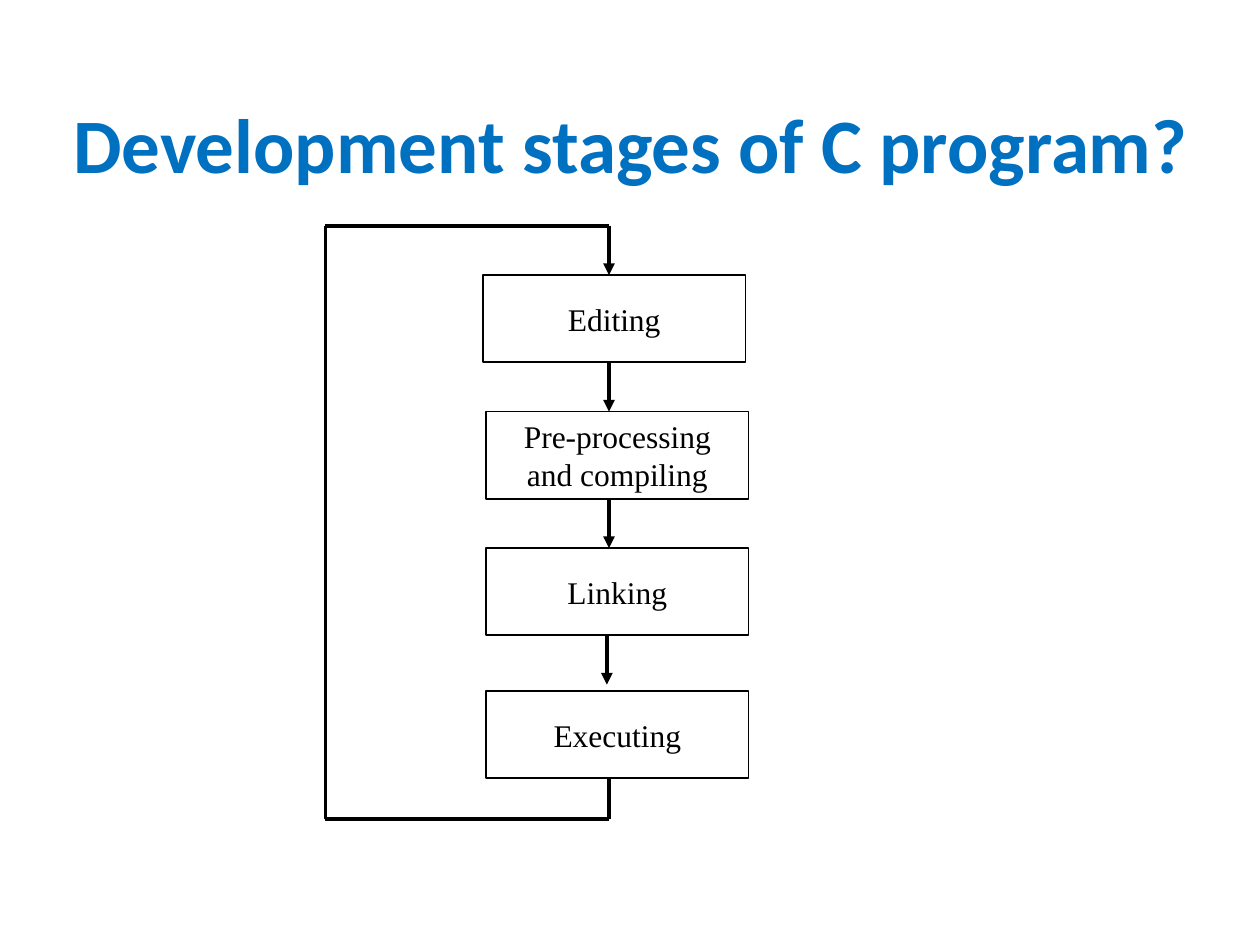
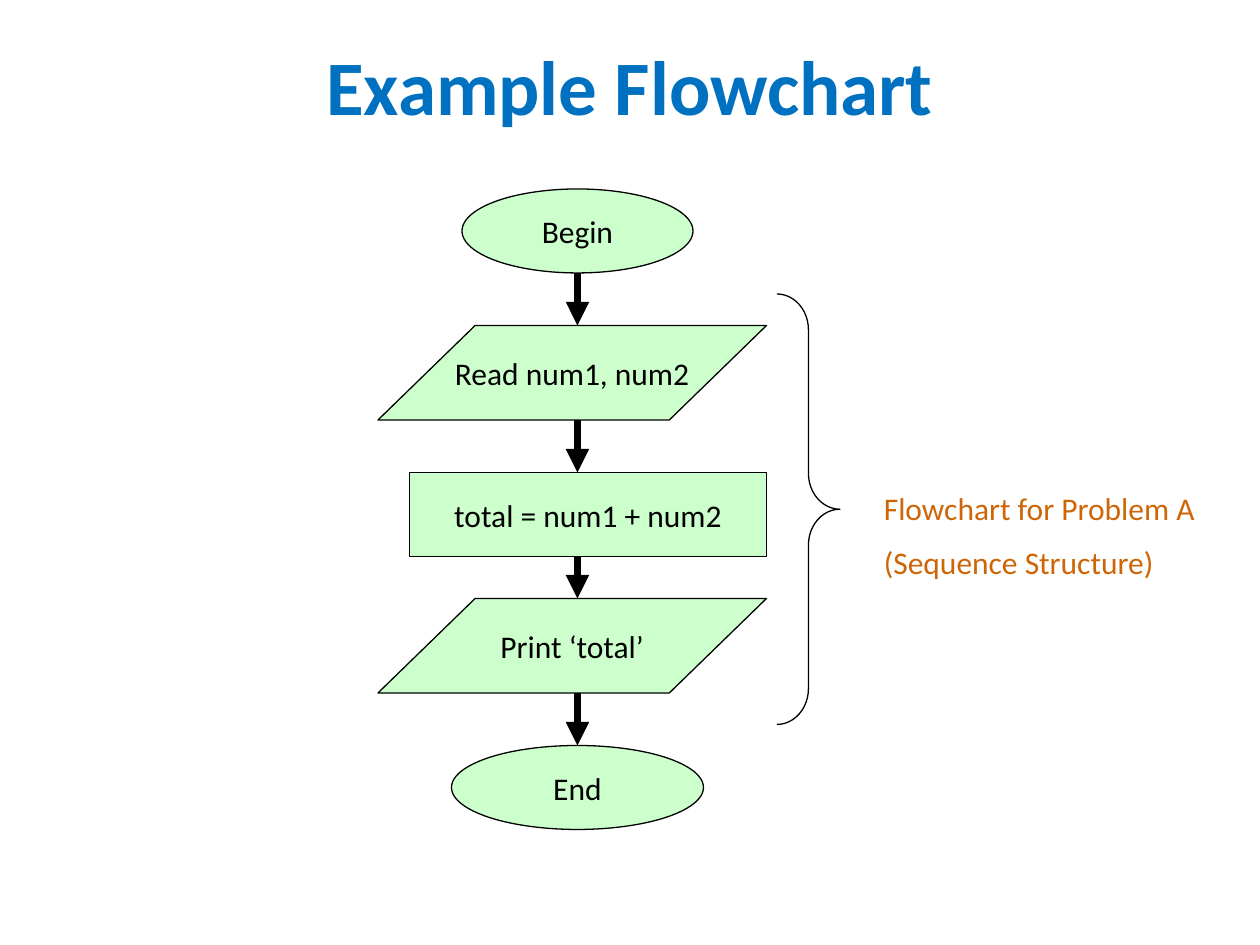
from lxml import etree
from pptx import Presentation
from pptx.dml.color import RGBColor
from pptx.enum.shapes import MSO_CONNECTOR, MSO_SHAPE
from pptx.enum.text import MSO_ANCHOR, MSO_AUTO_SIZE, PP_ALIGN
from pptx.oxml.ns import qn
from pptx.util import Inches, Pt

STRAIGHT = MSO_CONNECTOR.STRAIGHT
RECTANGLE = MSO_SHAPE.RECTANGLE
ELLIPSE = MSO_SHAPE.OVAL
PARALLELOGRAM = MSO_SHAPE.PARALLELOGRAM
RIGHT_BRACE = MSO_SHAPE.RIGHT_BRACE
TOP, MIDDLE = MSO_ANCHOR.TOP, MSO_ANCHOR.MIDDLE
LEFT, CENTER = PP_ALIGN.LEFT, PP_ALIGN.CENTER
NO_AUTOFIT = MSO_AUTO_SIZE.NONE

BLUE = RGBColor(0x00, 0x70, 0xC0)
GREEN = RGBColor(0xCC, 0xFF, 0xCC)
ORANGE = RGBColor(0xCE, 0x66, 0x08)
BLACK = RGBColor(0x00, 0x00, 0x00)

SANS, SERIF = "Calibri", "Times New Roman"
SLIDE_WIDTH, SLIDE_HEIGHT = Inches(10), Inches(7.5)
COLUMNS, ROWS = 120, 90
TITLE_ONLY = 5


def across(columns):
    """Turn grid columns into a length."""
    return round(SLIDE_WIDTH * columns / COLUMNS)


def down(rows):
    """Turn grid rows into a length."""
    return round(SLIDE_HEIGHT * rows / ROWS)


def area(left, top, width, height):
    """Turn a grid area into left, top, width and height."""
    return across(left), down(top), across(width), down(height)


def write(frame, text, font=SANS, size=18, color=BLACK, bold=False,
          align=CENTER, anchor=MIDDLE, wrap=True, space_before=0):
    """Fill a text frame, one paragraph for each line of the text."""
    frame.text = text
    frame.word_wrap = wrap
    frame.vertical_anchor = anchor
    frame.auto_size = NO_AUTOFIT
    for para in frame.paragraphs:
        para.alignment = align
        para.space_before = Pt(space_before)
        for span in para.runs:
            span.font.name = font
            span.font.size = Pt(size)
            span.font.bold = bold
            span.font.color.rgb = color


def add_page(deck, title, place):
    """Add a title-only slide with its title at a grid place."""
    page = deck.slides.add_slide(deck.slide_layouts[TITLE_ONLY])
    box = page.shapes.title
    box.left, box.top, box.width, box.height = area(*place)
    frame = box.text_frame
    frame.margin_left = frame.margin_right = 0
    frame.margin_top = frame.margin_bottom = 0
    write(frame, title, size=44, color=BLUE, bold=True)
    return page


def add_outline(page, kind, place, line_width=0.75, fill=None, adjust=()):
    """Add a preset shape with a black outline."""
    shape = page.shapes.add_shape(kind, *area(*place))
    shape.shadow.inherit = False
    if fill is None:
        shape.fill.background()
    else:
        shape.fill.solid()
        shape.fill.fore_color.rgb = fill
    shape.line.color.rgb = BLACK
    shape.line.width = Pt(line_width)
    for index, value in enumerate(adjust):
        shape.adjustments[index] = value
    return shape


def add_line(page, start, end, width, arrow=True):
    """Join two grid points with a black line or arrow."""
    line = page.shapes.add_connector(
        STRAIGHT, across(start[0]), down(start[1]), across(end[0]), down(end[1]))
    line.line.color.rgb = BLACK
    line.line.width = Pt(width)
    if arrow:
        etree.SubElement(line.line._get_or_add_ln(), qn("a:tailEnd"), type="triangle")
    etree.SubElement(line._element.spPr, qn("a:effectLst"))


def build_stages(deck):
    """Build the loop of development stages."""
    page = add_page(deck, "Development stages of C program?", (5.2, 9, 109.8, 9.1))
    width, height, axis, line_width = 25, 8.3, 58, 2.25
    stages = [("Editing", 46, 26.2), ("Pre-processing and compiling", 46.3, 39.2),
              ("Linking", 46.3, 52.2), ("Executing", 46.3, 65.8)]
    for name, left, top in stages:
        box = add_outline(page, RECTANGLE, (left, top, width, height), line_width=1)
        write(box.text_frame, name, font=SERIF)

    for column, row, tip in [(axis, 26.2, 39.2), (axis, 39.2, 52.2), (57.8, 52.2, 65.2)]:
        add_line(page, (column, row + height), (column, tip), line_width)

    first, last = stages[0][2], stages[-1][2]
    side, roof, floor = 31, 21.5, 78
    route = [(axis, last + height), (axis, floor), (side, floor),
             (side, roof), (axis, roof), (axis, first)]
    for start, end in zip(route, route[1:]):
        add_line(page, start, end, line_width, arrow=end == route[-1])


def build_flowchart(deck):
    """Build the sequence flowchart with its bracketed caption."""
    page = add_page(deck, "Example Flowchart", (6, 3.6, 108, 8.9))
    slant = (1.028,)
    steps = [("Begin", ELLIPSE, (44, 18, 22, 8), ()),
             ("Read num1, num2", PARALLELOGRAM, (36, 31, 37, 9), slant),
             ("total = num1 + num2", RECTANGLE, (39, 45, 34, 8), ()),
             ("Print ‘total’", PARALLELOGRAM, (36, 57, 37, 9), slant),
             ("End", ELLIPSE, (43, 71, 24, 8), ())]
    for text, kind, place, adjust in steps:
        step = add_outline(page, kind, place, fill=GREEN, adjust=adjust)
        write(step.text_frame, text, wrap=False)

    axis = 55
    places = [place for _, _, place, _ in steps]
    for above, below in zip(places, places[1:]):
        add_line(page, (axis, above[1] + above[3]), (axis, below[1]), 4.5)

    caption = page.shapes.add_textbox(*area(83, 46, 35, 10.2))
    write(caption.text_frame, "Flowchart for Problem A\n(Sequence Structure)",
          color=ORANGE, align=LEFT, anchor=TOP, space_before=9)
    add_outline(page, RIGHT_BRACE, (74, 28, 6, 41), adjust=(0.569, 0.5))


def main():
    """Build and save the deck."""
    deck = Presentation()
    deck.slide_width, deck.slide_height = SLIDE_WIDTH, SLIDE_HEIGHT
    build_stages(deck)
    build_flowchart(deck)
    deck.save("out.pptx")


if __name__ == "__main__":
    main()
